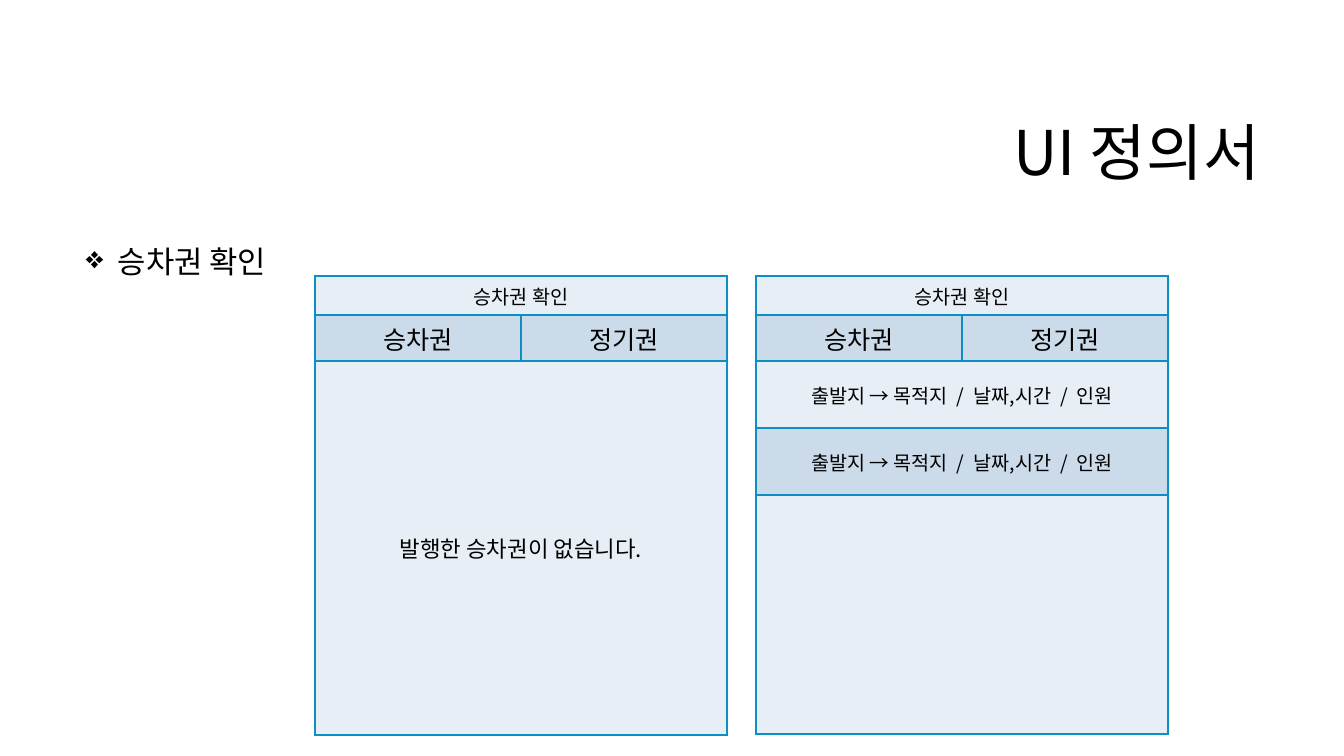
from lxml import etree
from pptx import Presentation
from pptx.dml.color import RGBColor
from pptx.enum import text
from pptx.oxml.ns import qn
from pptx.util import Pt

# Content
TITLE = "UI 정의서"
TOPIC = " 승차권 확인"
HEAD = (39, 14, ["승차권 확인"])
TABS = (46, 18, ["승차권", "정기권"])
TRIP = (67, 14, ["출발지 → 목적지  /  날짜,시간  /  인원"])
# Each row: height in px, text size, labels (one label spans the row)
SCREENS = [
    [HEAD, TABS, (374, 16, ["발행한 승차권이 없습니다."])],
    [HEAD, TABS, TRIP, TRIP, (239, 14, [""])],
]

# Look
FONT = "Noto Sans CJK KR"
BLACK = RGBColor(0x00, 0x00, 0x00)
PALE = RGBColor(0xE7, 0xEE, 0xF5)
DEEP = RGBColor(0xCC, 0xDB, 0xEA)
EDGE = RGBColor(0x0D, 0x8E, 0xC5)
LEFT, TOP, COL, STEP = 315, 276, 206, 441


def px(n):
    return round(n * 914400 / 100.8)


def write(frame, words, size, align=text.PP_ALIGN.LEFT, space=None, before=None):
    para = frame.paragraphs[0]
    para.alignment = align
    para.line_spacing = space
    if before:
        para.space_before = Pt(before)
    if words:
        run = para.add_run()
        run.text = words
        run.font.size = Pt(size)
        run.font.name = FONT
        run.font.color.rgb = BLACK
        etree.SubElement(run.font._element, qn("a:ea"), typeface=FONT)
    return para


def box(slide, x, y, w, h, anchor):
    frame = slide.shapes.add_textbox(px(x), px(y), px(w), px(h)).text_frame
    frame.word_wrap = True
    frame.vertical_anchor = anchor
    return frame


def border(cell):
    props = cell._tc.get_or_add_tcPr()
    for i, side in enumerate(("lnL", "lnR", "lnT", "lnB")):
        line = etree.Element(qn("a:" + side), w=str(Pt(1)))
        fill = etree.SubElement(line, qn("a:solidFill"))
        etree.SubElement(fill, qn("a:srgbClr"), val=str(EDGE))
        props.insert(i, line)


def screen(slide, x, rows):
    high = sum(row[0] for row in rows)
    grid = slide.shapes.add_table(
        len(rows), 2, px(x), px(TOP), px(2 * COL), px(high)).table
    for col in grid.columns:
        col.width = px(COL)
    for r, (tall, size, labels) in enumerate(rows):
        grid.rows[r].height = px(tall)
        for c in range(2):
            cell = grid.cell(r, c)
            cell.fill.solid()
            cell.fill.fore_color.rgb = DEEP if r % 2 else PALE
            cell.vertical_anchor = text.MSO_ANCHOR.MIDDLE
            border(cell)
        if len(labels) == 1:
            grid.cell(r, 0).merge(grid.cell(r, 1))
        for c, label in enumerate(labels):
            write(grid.cell(r, c).text_frame, label, size,
                  align=text.PP_ALIGN.CENTER)


def main():
    deck = Presentation()
    deck.slide_width, deck.slide_height = px(1344), px(756)
    slide = deck.slides.add_slide(deck.slide_layouts[6])

    # Title
    frame = box(slide, 320, 85, 950, 142, text.MSO_ANCHOR.MIDDLE)
    write(frame, TITLE, 44, align=text.PP_ALIGN.RIGHT, space=0.9)

    # Bulleted topic
    frame = box(slide, 76, 242, 1192, 444, text.MSO_ANCHOR.TOP)
    para = write(frame, TOPIC, 22, space=0.9, before=10)
    props = para._p.get_or_add_pPr()
    props.set("marL", str(px(25)))
    props.set("indent", str(-px(25)))
    etree.SubElement(props, qn("a:buChar"), char="❖")

    # Screen mock-ups
    for i, rows in enumerate(SCREENS):
        screen(slide, LEFT + i * STEP, rows)

    deck.save("out.pptx")


if __name__ == "__main__":
    main()
